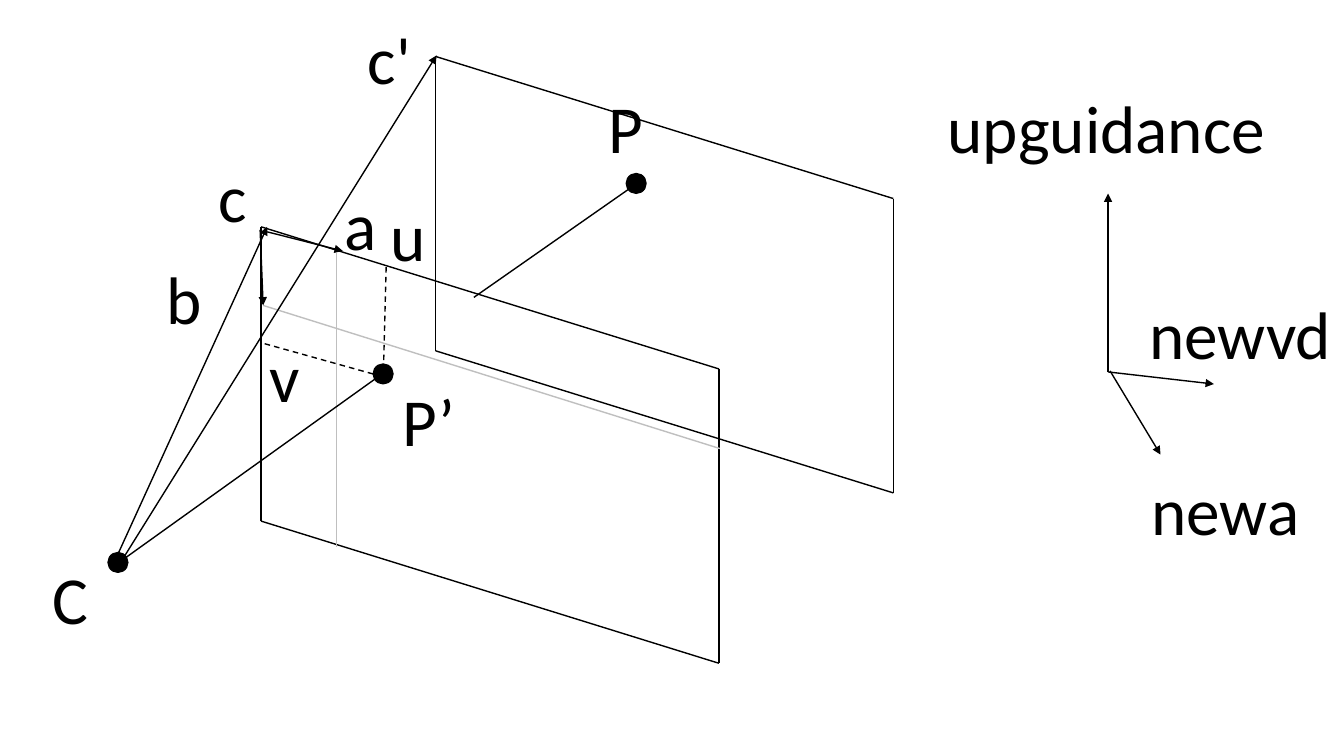
from dataclasses import dataclass

from lxml import etree
from pptx import Presentation
from pptx.dml.color import RGBColor
from pptx.enum.dml import MSO_LINE
from pptx.enum.shapes import MSO_CONNECTOR, MSO_SHAPE
from pptx.enum.text import MSO_AUTO_SIZE
from pptx.oxml.ns import qn
from pptx.util import Inches, Pt

STRAIGHT = MSO_CONNECTOR.STRAIGHT
OVAL = MSO_SHAPE.OVAL
DASH = MSO_LINE.DASH
GROW = MSO_AUTO_SIZE.SHAPE_TO_FIT_TEXT
BLANK = 6


@dataclass(frozen=True)
class Theme:
    ink: RGBColor = RGBColor(0, 0, 0)
    guide: RGBColor = RGBColor(0xBF, 0xBF, 0xBF)
    font: str = "Calibri"
    label_size: int = 48
    line_width: int = 1
    dot_size: float = 0.2
    label_height: float = 0.91


class Diagram:
    def __init__(self, slide, theme):
        self.s = slide
        self.theme = theme

    def line(self, start, end, color=None, dash=None, arrow=False):
        points = [Inches(v) for v in (*start, *end)]
        sp = self.s.shapes.add_connector(STRAIGHT, *points)
        sp.line.color.rgb = color or self.theme.ink
        sp.line.width = Pt(self.theme.line_width)
        if dash:
            sp.line.dash_style = dash
        if arrow:
            ln = sp.line._get_or_add_ln()
            etree.SubElement(ln, qn("a:tailEnd"), type="triangle")
        etree.SubElement(sp._element.spPr, qn("a:effectLst"))

    def arrow(self, start, end):
        self.line(start, end, arrow=True)

    def plane(self, left, top, width=4.54, drop=1.41, height=2.92):
        right = left + width
        corners = [(left, top), (right, top + drop),
                   (right, top + drop + height), (left, top + height)]
        for start, end in zip(corners, corners[1:] + corners[:1]):
            self.line(start, end)

    def dot(self, left, top):
        size = Inches(self.theme.dot_size)
        sp = self.s.shapes.add_shape(OVAL, Inches(left), Inches(top), size, size)
        sp.shadow.inherit = False
        sp.fill.solid()
        sp.fill.fore_color.rgb = self.theme.ink
        sp.line.color.rgb = self.theme.ink

    def label(self, text, left, top, width):
        sp = self.s.shapes.add_textbox(Inches(left), Inches(top), Inches(width),
                                       Inches(self.theme.label_height))
        tf = sp.text_frame
        tf.text = text
        tf.word_wrap = False
        tf.auto_size = GROW
        font = tf.paragraphs[0].runs[0].font
        font.name = self.theme.font
        font.size = Pt(self.theme.label_size)
        font.color.rgb = self.theme.ink


prs = Presentation()
prs.slide_width = Inches(13.33)
prs.slide_height = Inches(7.5)
theme = Theme()
d = Diagram(prs.slides.add_slide(prs.slide_layouts[BLANK]), theme)

d.plane(2.59, 2.25)
d.plane(4.32, 0.56)

d.line((3.34, 2.51), (3.34, 5.43), color=theme.guide)
d.line((2.61, 3.03), (7.14, 4.45), color=theme.guide)

d.line((6.36, 1.79), (4.7, 2.95))
d.line((3.79, 3.71), (1.18, 5.58))

d.line((3.83, 2.65), (3.8, 3.79), dash=DASH)
d.line((3.7, 3.71), (2.59, 3.4), dash=DASH)

for start, end in [
    ((1.1, 5.65), (2.65, 2.25)),
    ((1.24, 5.51), (4.33, 0.55)),
    ((2.65, 2.3), (3.4, 2.49)),
    ((2.58, 2.28), (2.61, 3.03)),
    ((10.99, 3.69), (10.99, 1.92)),
    ((10.99, 3.69), (12.04, 3.81)),
    ((11.01, 3.68), (11.51, 4.51)),
]:
    d.arrow(start, end)

for left, top in [(1.07, 5.48), (6.21, 1.72), (3.7, 3.61)]:
    d.dot(left, top)

for text, left, top, width in [
    ("P", 5.94, 0.81, 0.55),
    ("C", 0.42, 5.48, 0.56),
    ("P’", 3.89, 3.71, 0.73),
    ("u", 3.78, 1.88, 0.54),
    ("v", 2.57, 3.28, 0.51),
    ("c", 2.07, 1.49, 0.49),
    ("a", 3.32, 1.77, 0.52),
    ("b", 1.55, 2.5, 0.56),
    ("c'", 3.55, 0.12, 0.63),
    ("newa", 11.32, 4.6, 1.68),
    ("newvd", 11.3, 2.85, 2.02),
    ("upguidance", 9.3, 0.81, 3.39),
]:
    d.label(text, left, top, width)

prs.save("out.pptx")
